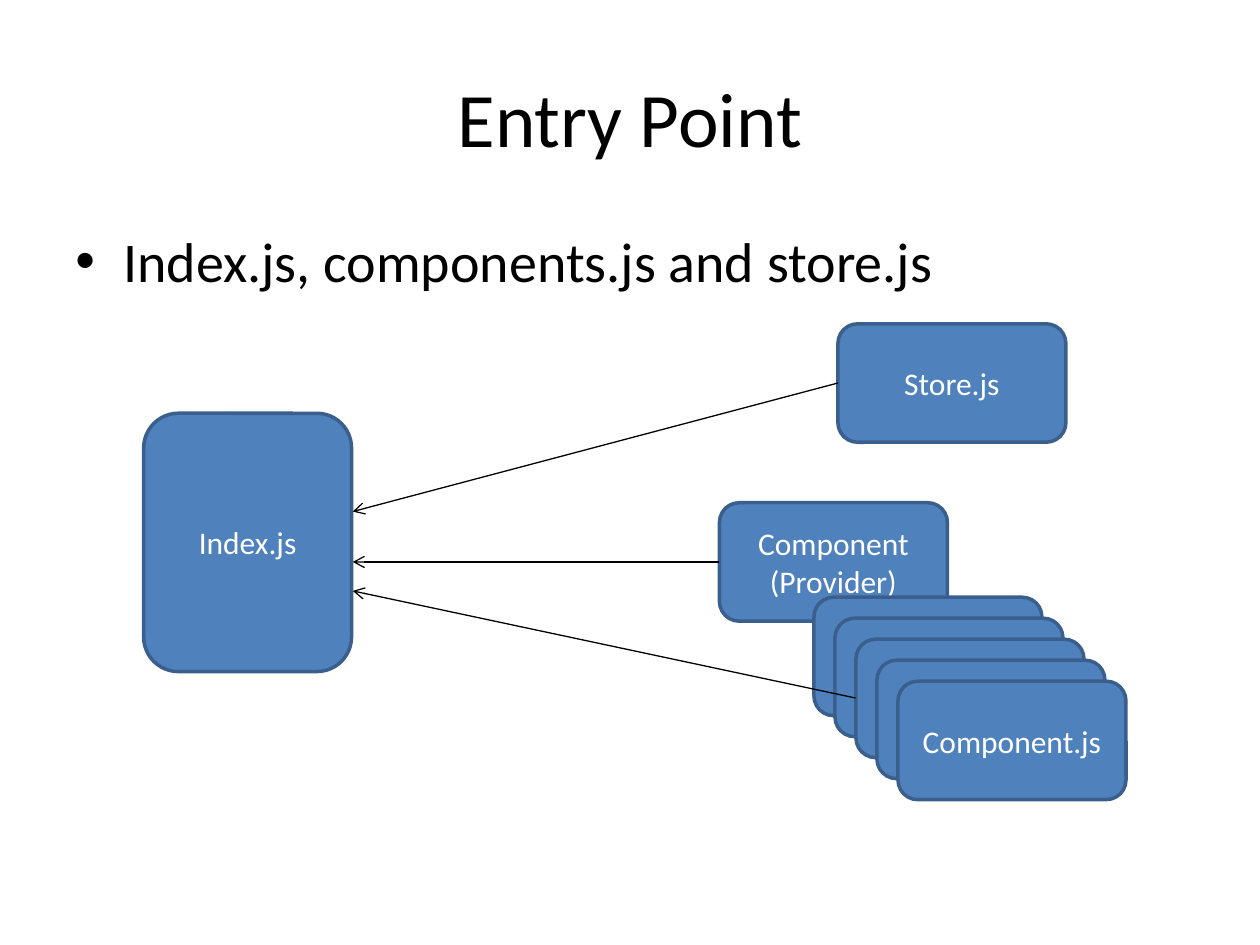
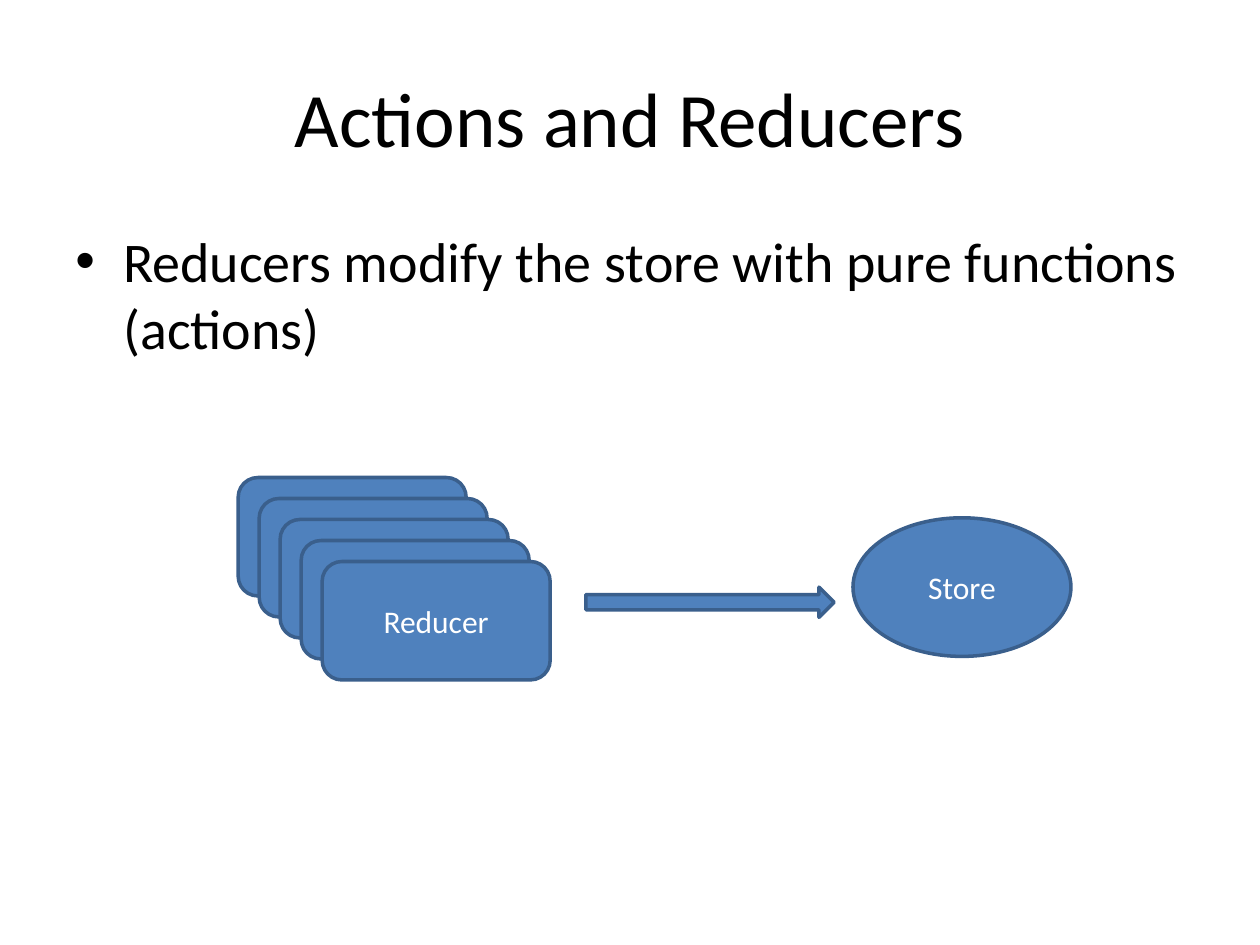
from dataclasses import dataclass

from lxml import etree
from pptx import Presentation
from pptx.dml.color import RGBColor
from pptx.enum.shapes import MSO_CONNECTOR, MSO_SHAPE
from pptx.enum.text import MSO_ANCHOR, PP_ALIGN
from pptx.oxml.ns import qn
from pptx.slide import Slide
from pptx.util import Inches, Pt

ROUNDED = MSO_SHAPE.ROUNDED_RECTANGLE
ELLIPSE = MSO_SHAPE.OVAL
BLOCK_ARROW = MSO_SHAPE.RIGHT_ARROW
STRAIGHT = MSO_CONNECTOR.STRAIGHT
CENTER = PP_ALIGN.CENTER
MIDDLE = MSO_ANCHOR.MIDDLE

COLORS = {"fill": "4F81BD", "outline": "3A5F8C", "text": "000000", "label": "FFFFFF"}
FONT = "Calibri"
MARGIN, CONTENT_WIDTH = 0.5, 9
CARD_WIDTH, CARD_HEIGHT = 1.81, 0.94
STACK_SIZE, STACK_STEP = 5, 1 / 6
BULLET_INDENT = Inches(0.38)


@dataclass(frozen=True)
class Node:
    left: float
    top: float
    label: str = ""
    width: float = CARD_WIDTH
    height: float = CARD_HEIGHT
    outline: MSO_SHAPE = ROUNDED


@dataclass(frozen=True)
class Link:
    start: tuple[float, float]
    end: tuple[float, float]


def rgb(name: str) -> RGBColor:
    return RGBColor.from_string(COLORS[name])


def add_run(paragraph, text: str, size: int, color: str) -> None:
    run = paragraph.add_run()
    run.text = text
    run.font.name = FONT
    run.font.size = Pt(size)
    run.font.color.rgb = rgb(color)


def add_text_area(slide: Slide, top: float, height: float, text: str, size: int):
    """Add a text box across the content width and return its frame."""
    area = slide.shapes.add_textbox(
        Inches(MARGIN), Inches(top), Inches(CONTENT_WIDTH), Inches(height)
    )
    frame = area.text_frame
    frame.word_wrap = True
    add_run(frame.paragraphs[0], text, size, "text")
    return frame


def add_content_slide(prs, title: str, bullet: str) -> Slide:
    slide = prs.slides.add_slide(prs.slide_layouts[6])
    heading = add_text_area(slide, 0.3, 1.25, title, 44)
    heading.vertical_anchor = MIDDLE
    heading.paragraphs[0].alignment = CENTER

    body = add_text_area(slide, 1.75, 4.95, bullet, 32)
    properties = body.paragraphs[0]._p.get_or_add_pPr()
    properties.set("marL", str(BULLET_INDENT))
    properties.set("indent", str(-BULLET_INDENT))
    etree.SubElement(properties, qn("a:buFont"), typeface="Arial")
    etree.SubElement(properties, qn("a:buChar"), char="•")
    return slide


def add_node(slide: Slide, node: Node) -> None:
    shape = slide.shapes.add_shape(
        node.outline,
        Inches(node.left),
        Inches(node.top),
        Inches(node.width),
        Inches(node.height),
    )
    shape.shadow.inherit = False
    shape.fill.solid()
    shape.fill.fore_color.rgb = rgb("fill")
    shape.line.color.rgb = rgb("outline")
    shape.line.width = Pt(2)
    if node.label:
        frame = shape.text_frame
        frame.word_wrap = True
        frame.vertical_anchor = MIDDLE
        frame.paragraphs[0].alignment = CENTER
        add_run(frame.paragraphs[0], node.label, 18, "label")


def add_stack(slide: Slide, left: float, top: float, label: str) -> None:
    """Draw overlapping cards stepping down to the right, the front one labelled."""
    for index in range(STACK_SIZE):
        shift = index * STACK_STEP
        front = index == STACK_SIZE - 1
        add_node(slide, Node(left + shift, top + shift, label if front else ""))


def add_link(slide: Slide, link: Link) -> None:
    connector = slide.shapes.add_connector(
        STRAIGHT, *(Inches(value) for value in link.start + link.end)
    )
    connector.line.color.rgb = rgb("text")
    connector.line.width = Pt(0.75)
    etree.SubElement(connector.line._get_or_add_ln(), qn("a:tailEnd"), type="arrow")
    etree.SubElement(connector._element.spPr, qn("a:effectLst"))


def build_entry_point(prs) -> None:
    provider = Node(5.71, 3.99, "Component (Provider)")
    index = Node(1.14, 3.28, "Index.js", 1.65, 2.05)
    store = Node(6.65, 2.57, "Store.js")
    index_edge = 2.8
    provider_middle = provider.top + CARD_HEIGHT / 2
    links = [
        Link((store.left, store.top + CARD_HEIGHT / 2), (index_edge, 4.06)),
        Link((6.79, 5.54), (index_edge, 4.69)),
        Link((provider.left, provider_middle), (index_edge, provider_middle)),
    ]

    slide = add_content_slide(prs, "Entry Point", "Index.js, components.js and store.js")
    add_node(slide, provider)
    add_stack(slide, 6.46, 4.74, "Component.js")
    add_node(slide, index)
    add_node(slide, store)
    for link in links:
        add_link(slide, link)


def build_actions_and_reducers(prs) -> None:
    slide = add_content_slide(
        prs,
        "Actions and Reducers",
        "Reducers modify the store with pure functions (actions)",
    )
    add_stack(slide, 1.89, 3.79, "Reducer")
    add_node(slide, Node(6.77, 4.11, "Store", 1.73, 1.1, ELLIPSE))
    add_node(slide, Node(4.65, 4.66, "", 1.97, 0.24, BLOCK_ARROW))


def main() -> None:
    prs = Presentation()
    prs.slide_width, prs.slide_height = Inches(10), Inches(7.5)
    build_entry_point(prs)
    build_actions_and_reducers(prs)
    prs.save("out.pptx")


if __name__ == "__main__":
    main()
